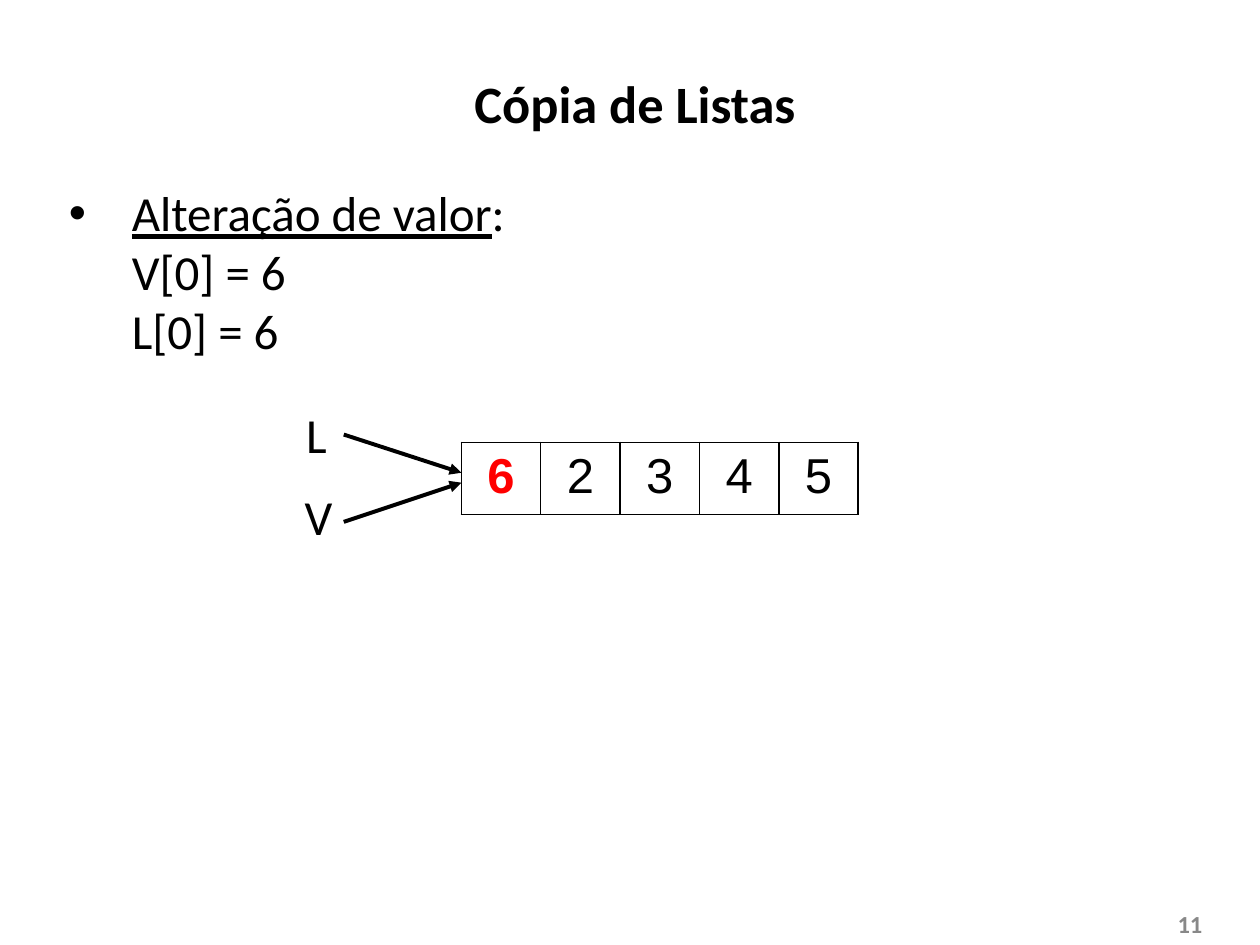
from lxml import etree
from pptx import Presentation
from pptx.dml.color import RGBColor
from pptx.enum.shapes import MSO_CONNECTOR
from pptx.enum.text import MSO_ANCHOR, PP_ALIGN
from pptx.oxml.ns import qn
from pptx.util import Cm, Pt

LEFT, CENTER, RIGHT, JUSTIFY = PP_ALIGN.LEFT, PP_ALIGN.CENTER, PP_ALIGN.RIGHT, PP_ALIGN.JUSTIFY
TOP, MIDDLE = MSO_ANCHOR.TOP, MSO_ANCHOR.MIDDLE
STRAIGHT = MSO_CONNECTOR.STRAIGHT

COLORS = {"text": "000000", "changed": "FF0000", "number": "888888"}


class SlideWriter:
    """Holds the style and the page being filled; all lengths are in cm."""

    body_font = "Calibri"
    cell_font = "Arial"
    size = 28
    indent = 1.27

    def __init__(self, page):
        self.page = page

    def style(self, span, font=body_font, size=size, color="text", bold=False):
        span.font.name = font
        span.font.size = Pt(size)
        span.font.bold = bold
        span.font.color.rgb = RGBColor.from_string(COLORS[color])

    def text(self, left, top, width, height, wording, align=LEFT, anchor=TOP, **style):
        box = self.page.shapes.add_textbox(Cm(left), Cm(top), Cm(width), Cm(height))
        frame = box.text_frame
        frame.word_wrap = True
        frame.vertical_anchor = anchor
        frame.text = wording
        for para in frame.paragraphs:
            para.alignment = align
            for span in para.runs:
                self.style(span, **style)
        return frame

    def hang(self, para, bullet=None):
        """Indent a paragraph, hanging the bullet in front when there is one."""
        properties = para._p.get_or_add_pPr()
        properties.set("marL", str(Cm(self.indent)))
        properties.set("indent", str(-Cm(self.indent) if bullet else 0))
        if bullet:
            etree.SubElement(properties, qn("a:buFont"), typeface="Arial")
            etree.SubElement(properties, qn("a:buChar"), char=bullet)
        else:
            etree.SubElement(properties, qn("a:buNone"))

    def border(self, cell):
        properties = cell._tc.get_or_add_tcPr()
        for side in ("lnL", "lnR", "lnT", "lnB"):
            line = etree.SubElement(properties, qn(f"a:{side}"), w=str(Pt(1)))
            fill = etree.SubElement(line, qn("a:solidFill"))
            etree.SubElement(fill, qn("a:srgbClr"), val=COLORS["text"])

    def list_cells(self, left, top, cell_width, height, values, changed):
        """Draw a list as one row of cells, with the changed index highlighted."""
        count = len(values)
        table = self.page.shapes.add_table(
            1, count, Cm(left), Cm(top), Cm(cell_width * count), Cm(height)
        ).table
        table.first_row = table.horz_banding = False
        for index, value in enumerate(values):
            cell = table.cell(0, index)
            self.border(cell)
            cell.fill.background()
            cell.text = str(value)
            para = cell.text_frame.paragraphs[0]
            para.alignment = CENTER
            is_changed = index == changed
            self.style(para.runs[0], font=self.cell_font, bold=is_changed,
                       color="changed" if is_changed else "text")

    def arrow(self, start, end):
        arrow = self.page.shapes.add_connector(STRAIGHT, *map(Cm, start + end))
        arrow.line.width = Pt(2.25)
        arrow.line.color.rgb = RGBColor.from_string(COLORS["text"])
        etree.SubElement(arrow.line._get_or_add_ln(), qn("a:tailEnd"), type="triangle")
        etree.SubElement(arrow._element.spPr, qn("a:effectLst"))


def main():
    deck = Presentation()
    deck.slide_width, deck.slide_height = Cm(25.4), Cm(19.05)
    page = deck.slides.add_slide(deck.slide_layouts[6])
    writer = SlideWriter(page)

    writer.text(18.57, 18.11, 5.92, 1.02, "11", RIGHT, MIDDLE,
                size=14, color="number", bold=True)
    title = writer.text(1.3, 1.45, 23.01, 1.47, "Cópia de Listas", CENTER,
                        size=30, bold=True)
    title.paragraphs[0].line_spacing = 0.9

    body = writer.text(1.14, 3.56, 23.16, 5.05,
                       "Alteração de valor\nV[0] = 6\nL[0] = 6", JUSTIFY)
    heading, *assignments = body.paragraphs
    heading.runs[0].font.underline = True
    colon = heading.add_run()
    colon.text = ":"
    writer.style(colon)
    writer.hang(heading, "•")
    for para in assignments:
        writer.hang(para)

    table_left = 9.3
    writer.list_cells(table_left, 8.92, 1.6, 1.45, [6, 2, 3, 4, 5], changed=0)
    variables = [
        ("L", 5.92, 8.03, 0.94, 8.76, 9.53),
        ("V", 5.89, 9.68, 1.07, 10.52, 9.73),
    ]
    for name, left, top, width, start_y, end_y in variables:
        writer.arrow((6.93, start_y), (table_left, end_y))
        writer.text(left, top, width, 1.45, name)

    deck.save("out.pptx")


if __name__ == "__main__":
    main()
